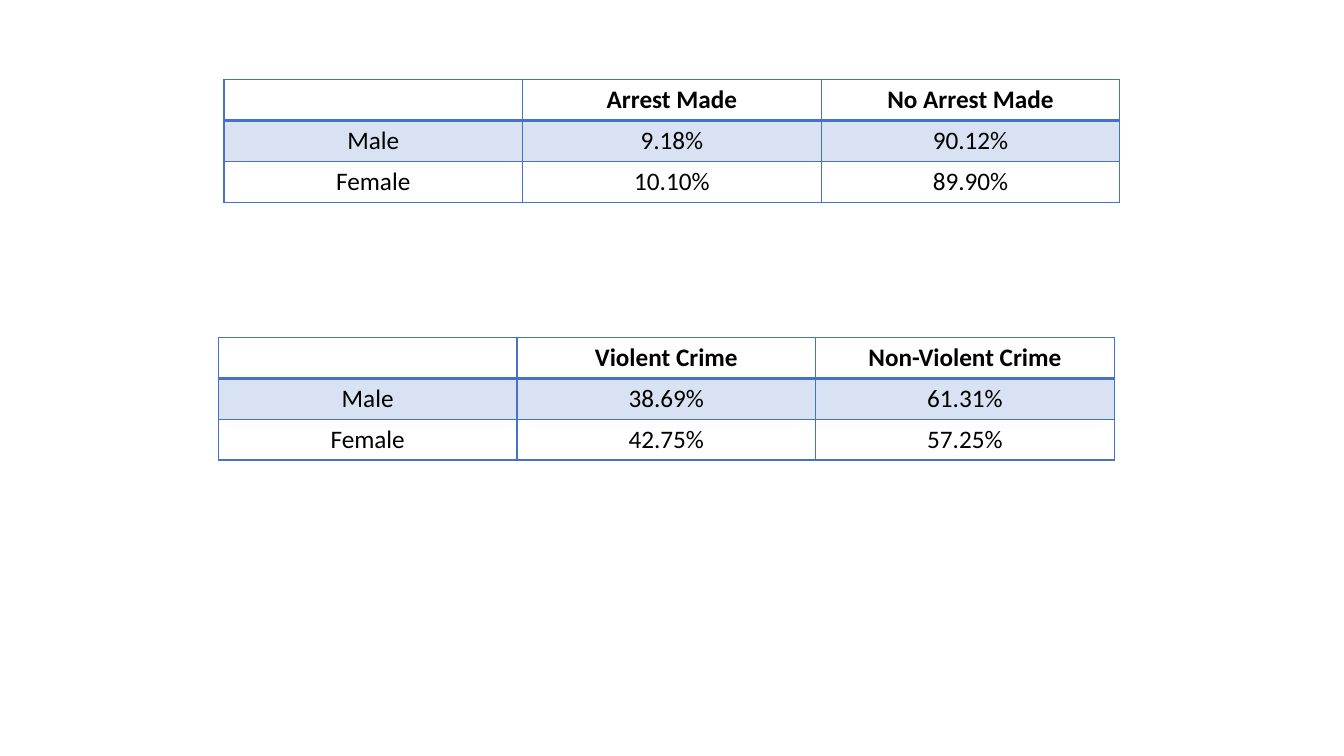
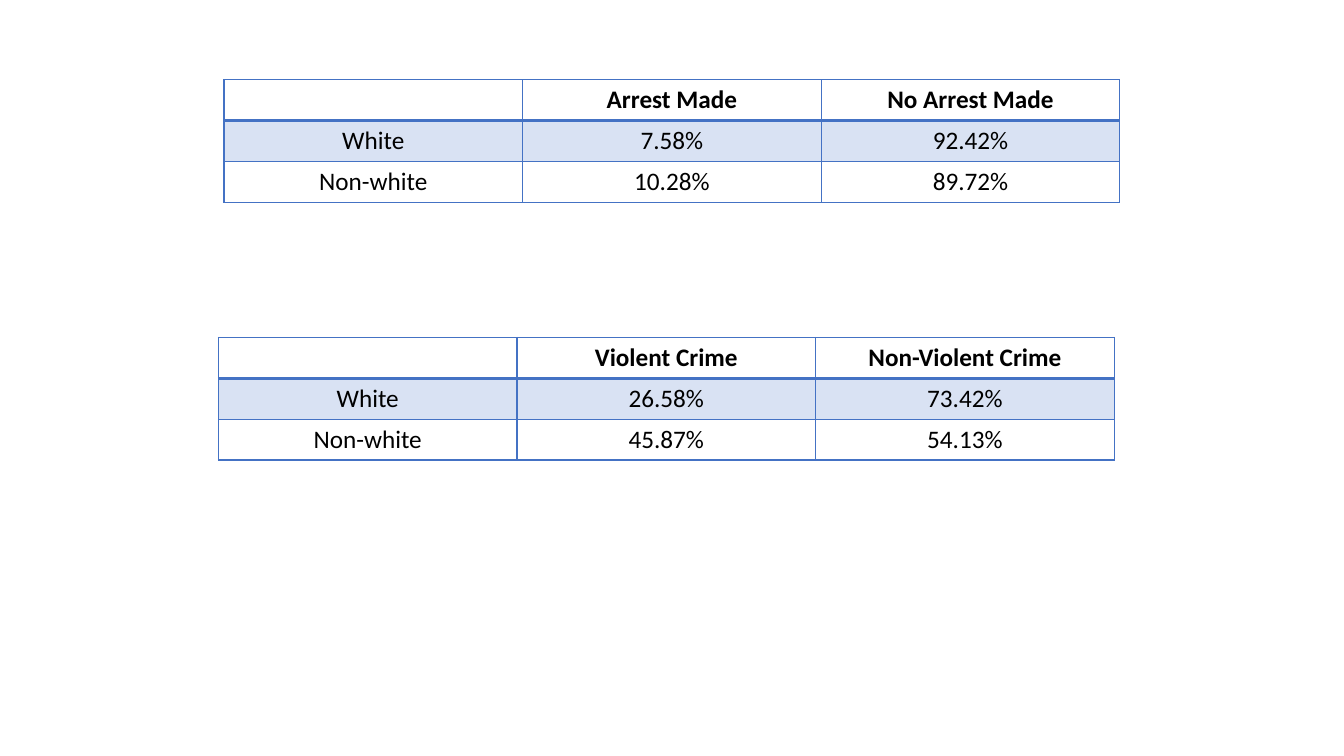
from lxml.etree import SubElement
from pptx import Presentation
from pptx.dml.color import RGBColor
from pptx.enum.text import PP_ALIGN as Align
from pptx.oxml.ns import qn
from pptx.util import Pt

PX = 6350  # EMU per px: 144 px to the inch
COLORS = {"accent": "4472C4", "text": "000000"}
FONT = "Calibri"
BAND_ALPHA = 20000  # thousandths of a percent
TABLE_WIDTH, TABLE_HEIGHT = 1280, 175

ARREST = {"left": 320, "top": 114, "header": ("", "Arrest Made", "No Arrest Made")}
VIOLENCE = {"left": 312, "top": 482, "header": ("", "Violent Crime", "Non-Violent Crime")}

SLIDES = [
    [
        (ARREST, [("Male", "9.18%", "90.12%"), ("Female", "10.10%", "89.90%")]),
        (VIOLENCE, [("Male", "38.69%", "61.31%"), ("Female", "42.75%", "57.25%")]),
    ],
    [
        (ARREST, [("White", "7.58%", "92.42%"), ("Non-white", "10.28%", "89.72%")]),
        (VIOLENCE, [("White", "26.58%", "73.42%"), ("Non-white", "45.87%", "54.13%")]),
    ],
]


def write_text(cell, text, size=18, bold=False, color="text", align=Align.CENTER):
    paragraph = cell.text_frame.paragraphs[0]
    paragraph.alignment = align
    paragraph.font.size = Pt(size)
    if text:
        run = paragraph.add_run()
        run.text = text
        run.font.name = FONT
        run.font.size = Pt(size)
        run.font.bold = bold
        run.font.color.rgb = RGBColor.from_string(COLORS[color])


def set_borders(cell, top=1, bottom=1, sides=1):
    """Draw the four cell borders, with widths in points."""
    properties = cell._tc.get_or_add_tcPr()
    for edge, width in (("L", sides), ("R", sides), ("T", top), ("B", bottom)):
        line = SubElement(properties, qn(f"a:ln{edge}"), w=str(Pt(width)))
        solid = SubElement(line, qn("a:solidFill"))
        SubElement(solid, qn("a:srgbClr"), val=COLORS["accent"])


prs = Presentation()
prs.slide_width, prs.slide_height = 1920 * PX, 1080 * PX
blank = prs.slide_layouts[6]

for comparisons in SLIDES:
    slide = prs.slides.add_slide(blank)
    for layout, groups in comparisons:
        rows = [layout["header"], *groups]
        table = slide.shapes.add_table(
            len(rows), len(rows[0]), layout["left"] * PX, layout["top"] * PX,
            TABLE_WIDTH * PX, TABLE_HEIGHT * PX,
        ).table
        table.first_row = table.horz_banding = False

        for row, values in enumerate(rows):
            for column, value in enumerate(values):
                cell = table.cell(row, column)
                write_text(cell, value, bold=row == 0)
                set_borders(cell, top=2 if row == 1 else 1, bottom=2 if row == 0 else 1)
                if row % 2:
                    cell.fill.solid()
                    cell.fill.fore_color.rgb = RGBColor.from_string(COLORS["accent"])
                    tint = cell._tc.tcPr.find(f"{qn('a:solidFill')}/{qn('a:srgbClr')}")
                    SubElement(tint, qn("a:alpha"), val=str(BAND_ALPHA))
                else:
                    cell.fill.background()

prs.save("out.pptx")
